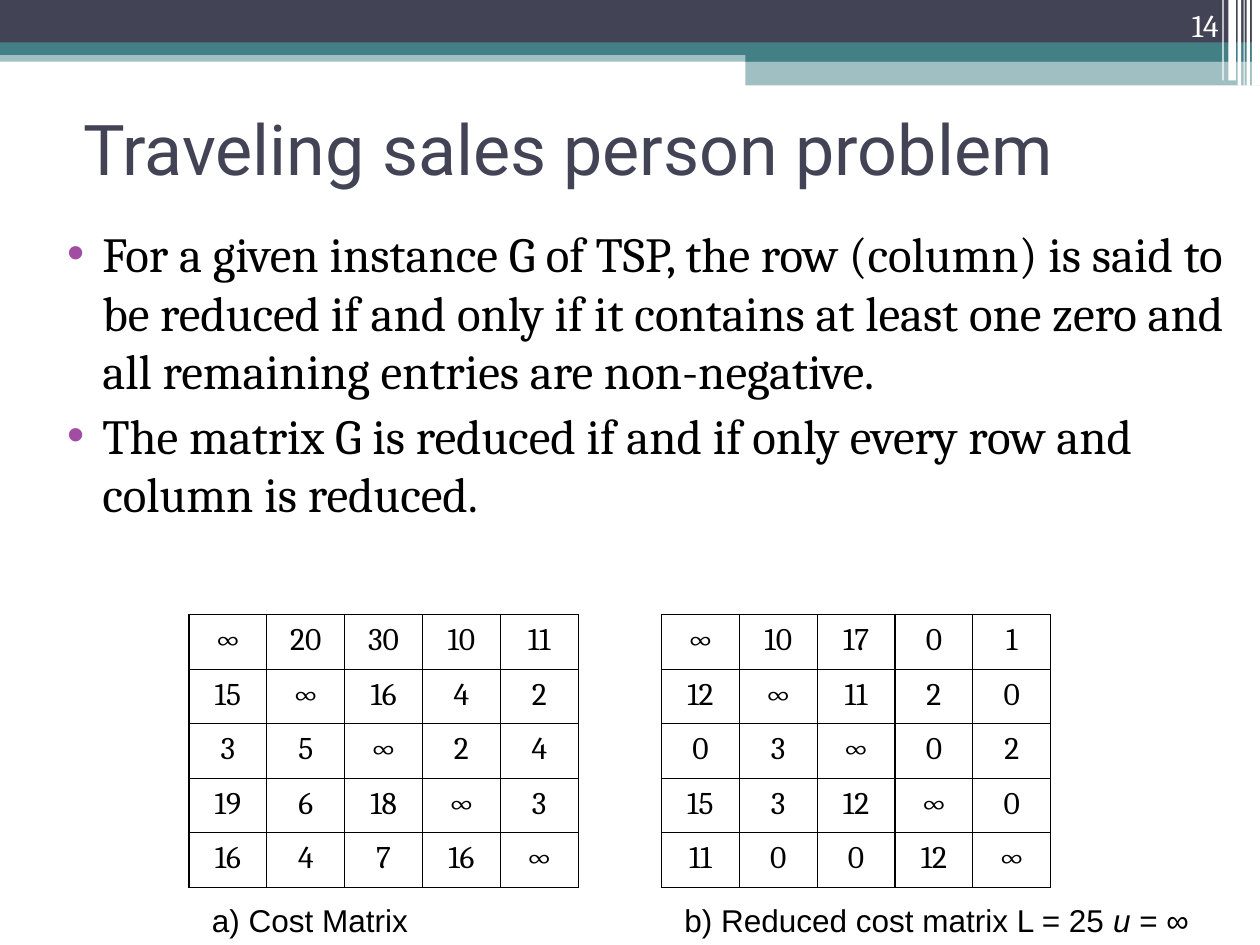
"""Build a slide on reduced cost matrices in the traveling sales person problem."""
from lxml.etree import SubElement
from pptx import Presentation
from pptx.dml.color import RGBColor
from pptx.enum.shapes import MSO_SHAPE
from pptx.enum.text import MSO_ANCHOR, MSO_AUTO_SIZE, PP_ALIGN
from pptx.oxml import parse_xml
from pptx.oxml.ns import nsdecls, qn
from pptx.util import Pt

HUES = {"navy": "424456", "teal": "438086", "white": "FFFFFF",
        "black": "000000", "plum": "A04DA3"}


def write(par, text, face="Cambria", size=18, hue="black", italic=False, align=PP_ALIGN.LEFT):
    par.alignment = align
    run = par.add_run()
    run.text = text
    run.font.name = face
    run.font.size = Pt(size)
    run.font.italic = italic
    run.font.color.rgb = RGBColor.from_string(HUES[hue])


def place(shape, left, top, width, height, anchor=MSO_ANCHOR.TOP):
    shape.left, shape.top, shape.width, shape.height = map(Pt, (left, top, width, height))
    frame = shape.text_frame
    frame.word_wrap = True
    frame.auto_size = MSO_AUTO_SIZE.NONE
    frame.vertical_anchor = anchor
    return frame


deck = Presentation()
deck.slide_width, deck.slide_height = Pt(720), Pt(540)
slide = deck.slides.add_slide(deck.slide_layouts[1])
shapes = slide.shapes

bars = [
    (0, 28.8, 720, 6.5, "teal", 50),
    (0, 0, 720, 24.5, "navy", 100),
    (0, 24.2, 720, 7.2, "teal", 100),
    (426, 28.1, 294, 7.2, "teal", 100),
    (426, 34.9, 294, 14, "teal", 50),
    (715.4, 0, 4.6, 49, "white", 100),
    (712.3, 0, 2, 49, "white", 100),
    (710.6, 0, 0.7, 49, "white", 100),
    (707.2, 0, 2, 49, "white", 100),
    (702, 0, 4.3, 46, "white", 100),
    (698.5, 0, 0.7, 46, "white", 100),
]
for *box, hue, alpha in bars:
    bar = shapes.add_shape(MSO_SHAPE.RECTANGLE, *map(Pt, box))
    bar.shadow.inherit = False
    bar.fill.solid()
    bar.fill.fore_color.rgb = RGBColor.from_string(HUES[hue])
    bar.line.fill.background()
    if alpha < 100:
        tint = bar._element.spPr.find(qn("a:solidFill")).find(qn("a:srgbClr"))
        SubElement(tint, qn("a:alpha"), val=str(alpha * 1000))

title = place(shapes.title, 40.5, 42.5, 648, 84, MSO_ANCHOR.MIDDLE)
write(title.paragraphs[0], "Traveling sales person problem", face="Roboto", size=40, hue="navy")

points = [
    "For a given instance G of TSP, the row (column) is said to be reduced if and only if "
    "it contains at least one zero and all remaining entries are non-negative.",
    "The matrix G is reduced if and if only every row and column is reduced.",
]
body = place(slide.placeholders[1], 22.5, 124, 684, 356)
for i, point in enumerate(points):
    par = body.add_paragraph() if i else body.paragraphs[0]
    props = par._p.get_or_add_pPr()
    props.set("marL", str(Pt(28.8)))
    props.set("indent", str(Pt(-20.2)))
    color = SubElement(props, qn("a:buClr"))
    SubElement(color, qn("a:srgbClr"), val=HUES["plum"])
    SubElement(props, qn("a:buFont"), typeface="Arial")
    SubElement(props, qn("a:buChar"), char="•")
    par.space_before = Pt(3 * i)
    write(par, point, size=28)

number = place(shapes.add_textbox(0, 0, 0, 0), 643.5, 0, 60, 28.8, MSO_ANCHOR.BOTTOM)
write(number.paragraphs[0], "14", hue="white", align=PP_ALIGN.RIGHT)

cost = ["∞ 20 30 10 11", "15 ∞ 16 4 2", "3 5 ∞ 2 4", "19 6 18 ∞ 3", "16 4 7 16 ∞"]
reduced = ["∞ 10 17 0 1", "12 ∞ 11 2 0", "0 3 ∞ 0 2", "15 3 12 ∞ 0", "11 0 0 12 ∞"]
grids = [
    (108, cost, 204, [("a) Cost Matrix", False)]),
    (378, reduced, 320,
     [("b) Reduced cost matrix L = 25 ", False), ("u", True), (" = ∞", False)]),
]
for left, rows, width, label in grids:
    table = shapes.add_table(5, 5, Pt(left), Pt(351.2), Pt(222.5), Pt(156)).table
    table.first_row = table.horz_banding = False
    for r, row in enumerate(rows):
        table.rows[r].height = Pt(31.2)
        table.columns[r].width = Pt(44.5)
        for c, value in enumerate(row.split()):
            cell = table.cell(r, c)
            cell.margin_top = Pt(4.4)
            props = cell._tc.get_or_add_tcPr()
            for side in "LRTB":
                props.append(parse_xml(
                    f'<a:ln{side} {nsdecls("a")} w="{Pt(0.75)}"><a:solidFill>'
                    f'<a:srgbClr val="{HUES["black"]}"/></a:solidFill></a:ln{side}>'))
            cell.fill.background()
            par = cell.text_frame.paragraphs[0]
            par.line_spacing = 0.98
            write(par, value, align=PP_ALIGN.CENTER)
    note = place(shapes.add_textbox(0, 0, 0, 0), left + 6, 511.2, width, 28.8)
    for text, italic in label:
        write(note.paragraphs[0], text, face="Arial", italic=italic)

deck.save("out.pptx")
